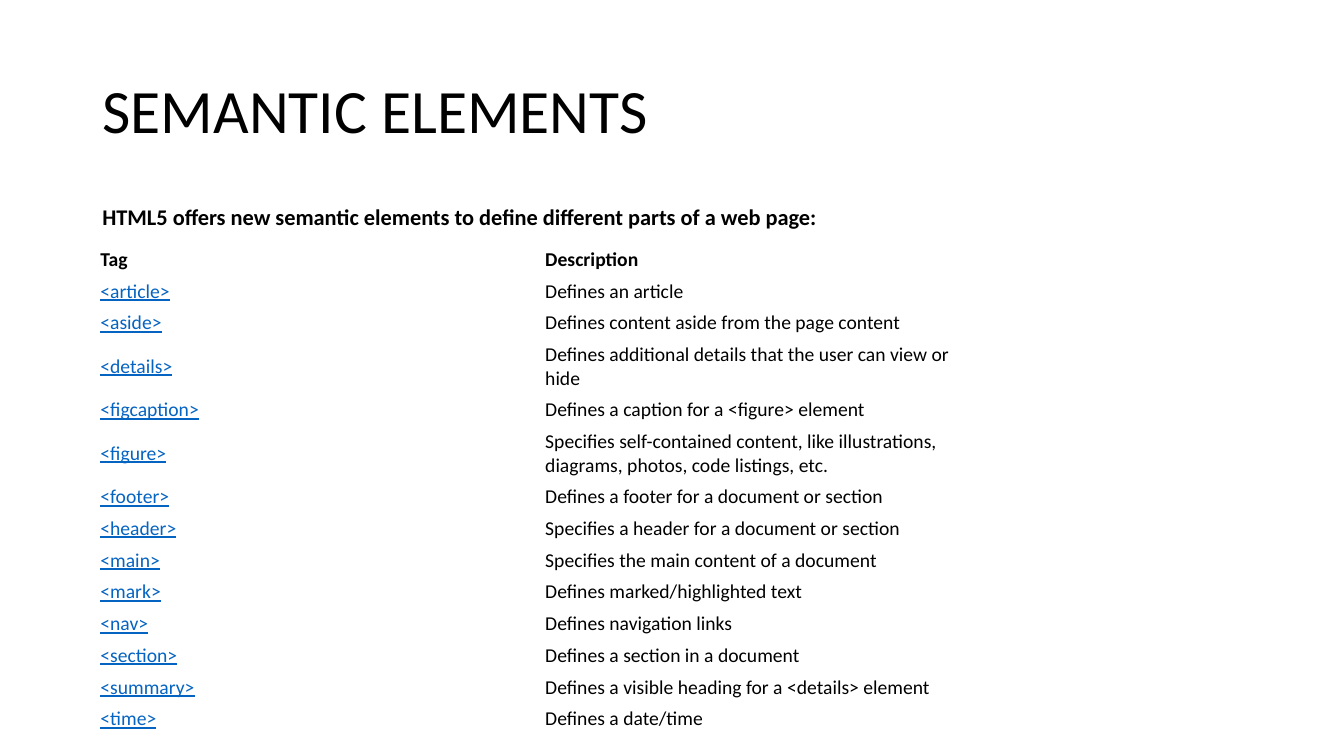
from pptx import Presentation
from pptx.dml.color import RGBColor
from pptx.enum.text import MSO_ANCHOR
from pptx.util import Cm, Pt

MIDDLE, TOP = MSO_ANCHOR.MIDDLE, MSO_ANCHOR.TOP
FONT, BLACK, LINK_BLUE = "Calibri", "000000", "0563C1"

TITLE = "SEMANTIC ELEMENTS"
INTRO = "HTML5 offers new semantic elements to define different parts of a web page:"
HEADINGS = ("Tag", "Description")
ELEMENTS = [
    ("<article>", "Defines an article"),
    ("<aside>", "Defines content aside from the page content"),
    ("<details>", "Defines additional details that the user can view or hide"),
    ("<figcaption>", "Defines a caption for a <figure> element"),
    ("<figure>", "Specifies self-contained content, like illustrations, "
                 "diagrams, photos, code listings, etc."),
    ("<footer>", "Defines a footer for a document or section"),
    ("<header>", "Specifies a header for a document or section"),
    ("<main>", "Specifies the main content of a document"),
    ("<mark>", "Defines marked/highlighted text"),
    ("<nav>", "Defines navigation links"),
    ("<section>", "Defines a section in a document"),
    ("<summary>", "Defines a visible heading for a <details> element"),
    ("<time>", "Defines a date/time"),
]

LEFT, CONTENT_WIDTH = Cm(2.33), Cm(29.21)
COLUMN_WIDTH = Cm(11.21)
ROW_HEIGHT, TALL_ROW_HEIGHT = Cm(0.8), Cm(1.39)
LONGEST_LINE = 50  # characters that fit on one line of a description


def write(frame, text, size, color=BLACK, bold=False, underline=False,
          line_spacing=1.0, space_before=0):
    paragraph = frame.paragraphs[0]
    paragraph.line_spacing = line_spacing
    paragraph.space_before = Pt(space_before)
    run = paragraph.add_run()
    run.text = text
    font = run.font
    font.name, font.size = FONT, Pt(size)
    font.bold, font.underline = bold, underline
    font.color.rgb = RGBColor.from_string(color)


def fill_cell(cell, text, **text_format):
    cell.fill.background()
    cell.vertical_anchor = MIDDLE
    cell.margin_left = cell.margin_right = Cm(0.2)
    cell.margin_top = cell.margin_bottom = Cm(0.09)
    write(cell.text_frame, text, 14, **text_format)


def add_title(slide):
    title = slide.shapes.title
    title.left, title.top = LEFT, Cm(1.01)
    title.width, title.height = CONTENT_WIDTH, Cm(3.68)
    title.text_frame.vertical_anchor = MIDDLE
    title.text_frame.word_wrap = True
    write(title.text_frame, TITLE, 44, line_spacing=0.9)
    title.text_frame.paragraphs[0].alignment = 1


def add_intro(slide):
    intro = slide.shapes.add_textbox(LEFT, Cm(5.07), CONTENT_WIDTH, Cm(12.09))
    intro.text_frame.word_wrap = True
    intro.text_frame.vertical_anchor = TOP
    write(intro.text_frame, INTRO, 16, bold=True, line_spacing=0.9, space_before=10)


def add_element_table(slide):
    heights = [ROW_HEIGHT] + [
        TALL_ROW_HEIGHT if len(description) > LONGEST_LINE else ROW_HEIGHT
        for _, description in ELEMENTS
    ]
    table = slide.shapes.add_table(
        len(heights), len(HEADINGS), LEFT, Cm(6.14),
        COLUMN_WIDTH * len(HEADINGS), sum(heights)).table
    table.first_row = table.horz_banding = False
    for column in table.columns:
        column.width = COLUMN_WIDTH
    for row, height in zip(table.rows, heights):
        row.height = height
    for column, heading in enumerate(HEADINGS):
        fill_cell(table.cell(0, column), heading, bold=True)
    for row, (tag, description) in enumerate(ELEMENTS, start=1):
        fill_cell(table.cell(row, 0), tag, color=LINK_BLUE, underline=True)
        fill_cell(table.cell(row, 1), description)


def main():
    deck = Presentation()
    deck.slide_width, deck.slide_height = Cm(33.87), Cm(19.05)
    slide = deck.slides.add_slide(deck.slide_layouts[5])
    add_title(slide)
    add_intro(slide)
    add_element_table(slide)
    deck.save("out.pptx")


if __name__ == "__main__":
    main()
